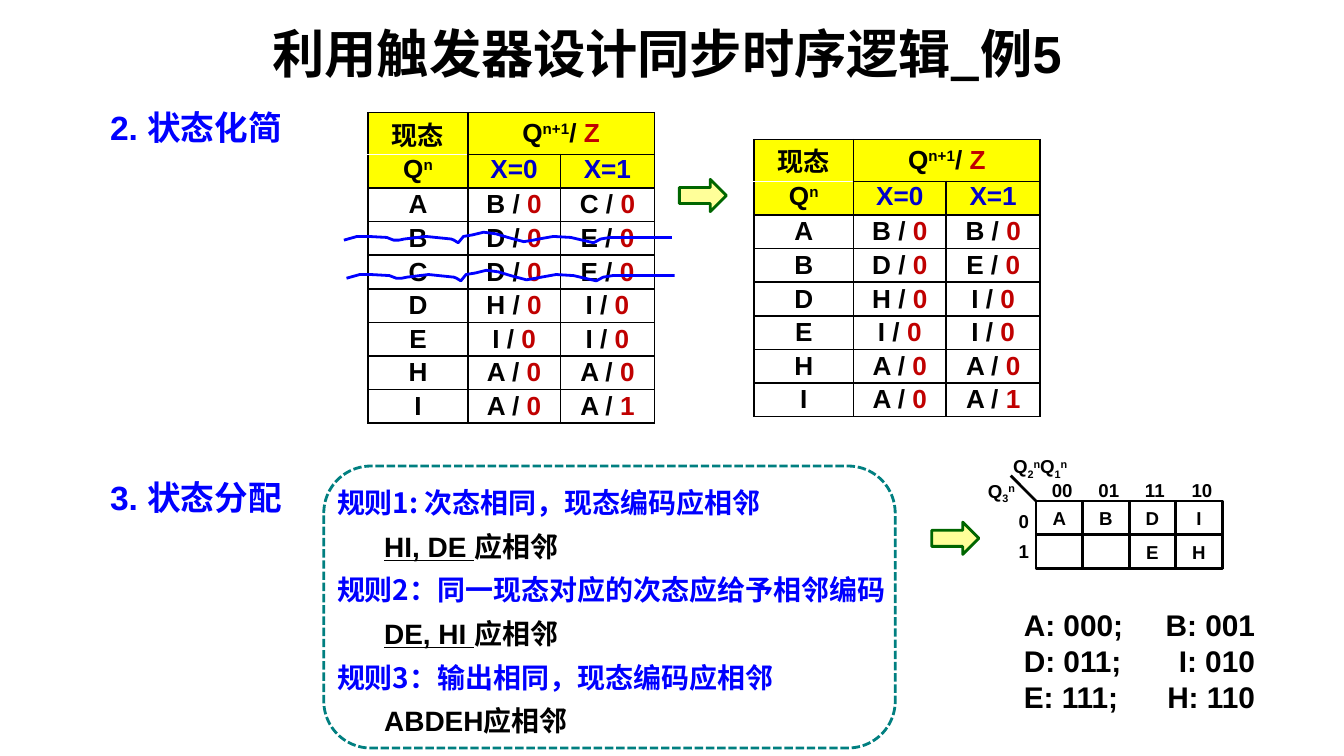
import pptx
import pptx.util
import pptx.dml.color
import pptx.enum.dml
import pptx.enum.shapes
import pptx.enum.text
from lxml import etree

Cm = pptx.util.Cm
Pt = pptx.util.Pt
RGB = pptx.dml.color.RGBColor
MSO = pptx.enum.shapes.MSO_SHAPE
MID = pptx.enum.text.MSO_ANCHOR.MIDDLE
CENTER = pptx.enum.text.PP_ALIGN.CENTER

BLACK = RGB(0, 0, 0)
BLUE = RGB(0, 0, 255)
NAVY = RGB(0, 0, 0xCC)
RED = RGB(0xC0, 0, 0)
GOLD = RGB(255, 255, 0)
CREAM = RGB(255, 255, 0x99)
GREEN = RGB(0, 0x66, 0)
TEAL = RGB(0, 0x7F, 0x80)

LATIN, HAN = "Arial", "Noto Sans CJK SC"
NS = "http://schemas.openxmlformats.org/drawingml/2006/main"
UP, DOWN = "30000", "-25000"

FULL = [("A", "B0", "C0"), ("B", "D0", "E0"), ("C", "D0", "E0"),
        ("D", "H0", "I0"), ("E", "I0", "I0"), ("H", "A0", "A0"),
        ("I", "A0", "A1")]
SHORT = [("A", "B0", "B0"), ("B", "D0", "E0"), ("D", "H0", "I0"),
         ("E", "I0", "I0"), ("H", "A0", "A0"), ("I", "A0", "A1")]
TABLES = [(6.96, 2.13, FULL), (14.25, 2.64, SHORT)]
COLS = [1.88, 1.75, 1.78]
HEAD, DEEP = 0.79, 5.08 / 8

WAVE = [(0, .15), (.25, .08), (.46, .08), (.81, .1), (.94, .15), (1.04, .15),
        (1.14, .13), (1.55, .08), (2.03, .13), (2.08, .15), (2.16, .2),
        (2.26, .08), (2.44, .05), (2.64, 0), (2.87, .03), (3.1, .1),
        (3.4, .18), (3.58, .15), (3.68, .13), (3.96, .08), (4.29, .1),
        (4.72, .2), (4.85, .13), (5.03, .1), (5.84, .1), (6.2, .1)]
STRIKES = [(6.55, 5.11), (6.5, 4.39)]
ARROWS = [(12.98, 3.25), (17.75, 9.73)]

TITLE = [("利用触发器设计同步时序逻辑_例",), ("5",)]
STEPS = [(1.9, "2. ", "状态化简"), (8.89, "3. ", "状态分配")]
RULES = [("规则1: 次态相同，现态编码应相邻", "HI, DE ", True),
         ("规则2：同一现态对应的次态应给予相邻编码", "DE, HI ", True),
         ("规则3：输出相同，现态编码应相邻", "ABDEH", False)]
CODES = ["A: 000;\tB: 001", "D: 011;\tI: 010", "E: 111;\tH: 110"]

MAP = ["ABDI", "  EH"]
MAPX, MAPY, WIDE, TALL = 19.58, 9.47, 0.88, 0.64
HIGH = [("Q", BLACK), ("2", BLACK, DOWN), ("n", BLACK, UP),
        ("Q", BLACK), ("1", BLACK, DOWN), ("n", BLACK, UP)]
SIDE = [("Q", BLACK), ("3", BLACK, DOWN), ("n", BLACK, UP)]

deck = pptx.Presentation()
deck.slide_width, deck.slide_height = Cm(25.4), Cm(14.29)
slide = deck.slides.add_slide(deck.slide_layouts[6])
shapes = slide.shapes


def write(par, size, runs):
    for text, *look in runs:
        color, base, under = (look + [BLACK, None, False][len(look):])
        run = par.add_run()
        run.text = text
        font = run.font
        han = any(char > "⺀" for char in text)
        font.size, font.bold = Pt(size), True
        font.name = HAN if han else LATIN
        font.color.rgb = color
        if under:
            font.underline = True
        props = run._r.get_or_add_rPr()
        if base:
            props.set("baseline", base)
        face = etree.SubElement(props, f"{{{NS}}}ea")
        face.set("typeface", HAN)


def label(x, y, w, h, size, lines):
    box = shapes.add_textbox(Cm(x), Cm(y), Cm(w), Cm(h))
    frame = box.text_frame
    frame.word_wrap = True
    frame.margin_right = 0
    for i, runs in enumerate(lines):
        par = frame.paragraphs[0] if i == 0 else frame.add_paragraph()
        write(par, size, runs)
    return frame.paragraphs


def tabs(par, stops, side):
    group = etree.SubElement(par._p.get_or_add_pPr(), f"{{{NS}}}tabLst")
    for stop in stops:
        etree.SubElement(group, f"{{{NS}}}tab", pos=str(Cm(stop)), algn=side)


def form(kind, x, y, w, h, color, fill=None):
    item = shapes.add_shape(kind, Cm(x), Cm(y), Cm(w), Cm(h))
    item.shadow.inherit = False
    if fill:
        item.fill.solid()
        item.fill.fore_color.rgb = fill
    else:
        item.fill.background()
    item.line.color.rgb = color
    item.line.width = Pt(1.5)
    return item


def rule(x, y, far, low):
    line = shapes.add_connector(pptx.enum.shapes.MSO_CONNECTOR.STRAIGHT,
                                Cm(x), Cm(y), Cm(far), Cm(low))
    line.line.color.rgb = BLACK
    line.line.width = Pt(1.5)
    etree.SubElement(line._element.spPr, f"{{{NS}}}effectLst")


def fill_cell(cell, runs, head, sides, anchor=MID):
    cell.margin_left = cell.margin_right = 0
    cell.margin_top = cell.margin_bottom = 0
    cell.vertical_anchor = anchor
    par = cell.text_frame.paragraphs[0]
    par.alignment = CENTER
    write(par, 14, runs)
    props = cell._tc.get_or_add_tcPr()
    for side in sides:
        edge = etree.SubElement(props, f"{{{NS}}}ln{side}", w=str(Pt(1)))
        paint = etree.SubElement(edge, f"{{{NS}}}solidFill")
        etree.SubElement(paint, f"{{{NS}}}srgbClr", val=str(BLACK))
    if head:
        cell.fill.solid()
        cell.fill.fore_color.rgb = GOLD
    else:
        cell.fill.background()


def state_table(x, y, rows):
    count = len(rows) + 2
    table = shapes.add_table(count, 3, Cm(x), Cm(y), Cm(sum(COLS)),
                             Cm(HEAD + DEEP * (count - 1))).table
    table.first_row = table.horz_banding = False
    for col, width in zip(table.columns, COLS):
        col.width = Cm(width)
    for i, row in enumerate(table.rows):
        row.height = Cm(DEEP if i else HEAD)
    table.cell(0, 1).merge(table.cell(0, 2))
    top = pptx.enum.text.MSO_ANCHOR.TOP
    fill_cell(table.cell(0, 0), [("现态",)], True, "LRT")
    fill_cell(table.cell(0, 1), [("Q",), ("n+1", BLACK, UP), ("/ ",),
                                 ("Z", RED)], True, "LRTB")
    fill_cell(table.cell(0, 2), [], True, "LRTB")
    fill_cell(table.cell(1, 0), [("Q",), ("n", BLACK, UP)], True, "LRB", top)
    for j in (1, 2):
        fill_cell(table.cell(1, j), [(f"X={j - 1}", NAVY)], True, "LRTB", top)
    for i, (state, *nexts) in enumerate(rows, 2):
        fill_cell(table.cell(i, 0), [(state,)], False, "LRTB")
        for j, (goal, out) in enumerate(nexts, 1):
            fill_cell(table.cell(i, j), [(goal + " / ",), (out, RED)],
                      False, "LRTB")


for x, y, rows in TABLES:
    state_table(x, y, rows)

for x, y in STRIKES:
    points = [(Cm(x + dx), Cm(y + dy)) for dx, dy in WAVE]
    pen = shapes.build_freeform(*points[0])
    pen.add_line_segments(points[1:], close=False)
    wave = pen.convert_to_shape()
    wave.shadow.inherit = False
    wave.fill.background()
    wave.line.color.rgb = BLUE
    wave.line.width = Pt(1.5)

for x, y in ARROWS:
    form(MSO.DOWN_ARROW, x, y, 0.61, 0.89, GREEN, CREAM).rotation = 270

label(4.9, 0.28, 16.7, 1.45, 28, [TITLE])
for y, mark, name in STEPS:
    label(1.83, y, 5.16, 1.02, 18, [[(mark, BLUE), (name, BLUE)]])

lines = []
for law, pair, under in RULES:
    lines += [[(law, BLUE)], [(pair, BLACK, None, under), ("应相邻",)]]
for i, par in enumerate(label(6.12, 8.86, 11.3, 5.26, 15, lines)):
    par.line_spacing = Pt(23.4)
    if i % 2:
        par._p.get_or_add_pPr().set("marL", str(Cm(0.89)))
frame = form(MSO.ROUNDED_RECTANGLE, 6.12, 8.81, 10.8, 5.33, TEAL)
frame.line.dash_style = pptx.enum.dml.MSO_LINE.SQUARE_DOT

for i, row in enumerate(MAP):
    for j, state in enumerate(row):
        cell = form(MSO.RECTANGLE, MAPX + j * WIDE, MAPY + i * TALL,
                    WIDE, TALL, BLACK)
        if state != " ":
            text = cell.text_frame
            text.margin_top = text.margin_bottom = 0
            text.vertical_anchor = MID
            text.paragraphs[0].alignment = CENTER
            write(text.paragraphs[0], 10, [(state,)])
right, base = MAPX + 4 * WIDE, MAPY + 2 * TALL
for i in range(3):
    rule(MAPX, MAPY + i * TALL, right, MAPY + i * TALL)
for j in range(5):
    rule(MAPX + j * WIDE, MAPY, MAPX + j * WIDE, base)
rule(19.1, 8.99, MAPX, MAPY)

head = label(19.63, 8.92, 3.43, 0.69, 10, [[("00\t01\t11\t10",)]])[0]
tabs(head, [WIDE * j for j in (1, 2, 3)], "l")
bits = label(19, 9.65, 0.53, 1.09, 10, [[("0",)], [("1",)]])
for par in bits:
    par.line_spacing = 0.65
bits[1].space_before = Pt(8)
label(18.42, 8.94, 1.19, 0.69, 10, [SIDE])
label(18.9, 8.48, 1.75, 0.69, 10, [HIGH])
for par in label(19.1, 11.35, 5.59, 2.31, 16, [[(code,)] for code in CODES]):
    tabs(par, [4.37], "r")

deck.save("out.pptx")
